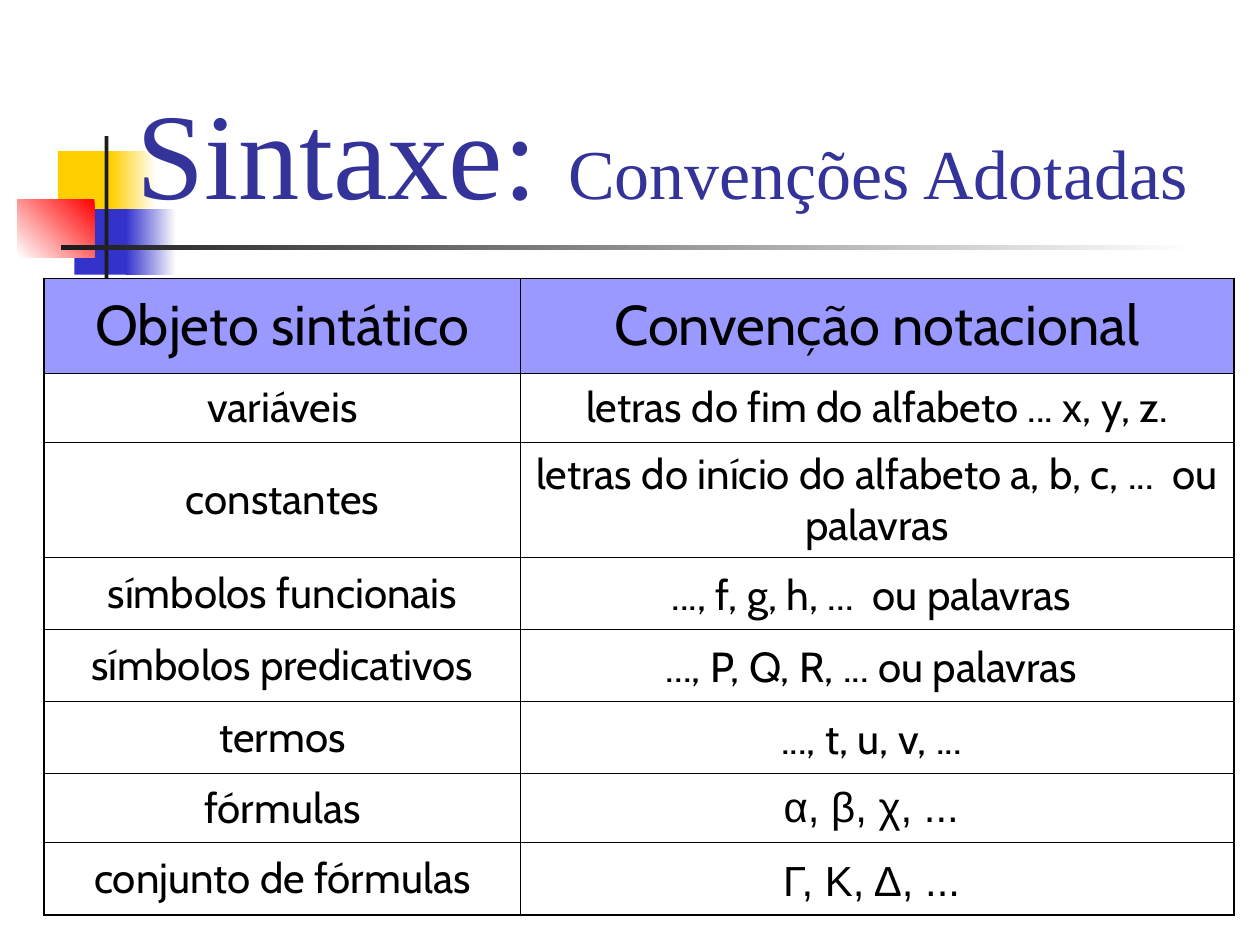
from lxml.etree import SubElement
from pptx import Presentation
from pptx.dml.color import RGBColor
from pptx.enum.shapes import MSO_SHAPE
from pptx.enum.text import MSO_ANCHOR, MSO_AUTO_SIZE, PP_ALIGN
from pptx.oxml.ns import qn
from pptx.util import Pt

HUES = {"gold": "FFCF01", "blue": "3333CC", "red": "FF0000", "dark": "1C1C1C",
        "white": "FFFFFF", "title": "333399", "head": "9999FF", "ink": "000000"}


def put(item, form):
    for key, value in form.items():
        setattr(item, key, value)


def write(para, text, size, face, hue):
    run = para.add_run()
    run.text = text
    put(run.font, {"size": Pt(size), "name": face})
    run.font.color.rgb = RGBColor.from_string(HUES[hue])


deck = Presentation()
put(deck, {"slide_width": Pt(720), "slide_height": Pt(540)})
slide = deck.slides.add_slide(deck.slide_layouts[5])

bars = [
    ((33.1, 86.4, 34.6, 37.4), ["gold"], 0),
    ((63.4, 86.4, 25.9, 37.4), ["white", "gold"], 180),
    ((42.5, 119.5, 33.1, 37.4), ["blue"], 0),
    ((72, 119.5, 28.8, 37.4), ["white", "blue"], 180),
    ((10, 113.8, 44, 33.1), ["red", "white"], 225),
    ((59.8, 77.8, 2.2, 82.8), ["dark"], 0),
    ((34.6, 140.2, 648, 2.4), ["white", "dark"], 180),
]
for box, tones, angle in bars:
    bar = slide.shapes.add_shape(MSO_SHAPE.RECTANGLE, *map(Pt, box))
    bar.shadow.inherit = False
    bar.line.fill.background()
    if len(tones) == 1:
        bar.fill.solid()
        bar.fill.fore_color.rgb = RGBColor.from_string(HUES[tones[0]])
    else:
        bar.fill.gradient()
        bar.fill.gradient_angle = angle
        for stop, tone in zip(bar.fill.gradient_stops, tones):
            stop.color.rgb = RGBColor.from_string(HUES[tone])

title = slide.shapes.title
put(title, {"left": Pt(70.6), "top": Pt(16.6), "width": Pt(649.4), "height": Pt(115.2)})
put(title.text_frame, {"vertical_anchor": MSO_ANCHOR.BOTTOM, "word_wrap": True,
                       "auto_size": MSO_AUTO_SIZE.NONE})
para = title.text_frame.paragraphs[0]
para.alignment = PP_ALIGN.LEFT
write(para, "Sintaxe: ", 70, "Times New Roman", "title")
write(para, "Convenções Adotadas", 40, "Times New Roman", "title")
slide.shapes._spTree.append(title._element)

rows = [
    (54, "Objeto sintático", "Convenção notacional", "Cabin", False),
    (39.6, "variáveis", "letras do fim do alfabeto ... x, y, z.", "Cabin", False),
    (64.8, "constantes", "letras do início do alfabeto a, b, c, ...  ou palavras", "Cabin", False),
    (41.1, "símbolos funcionais", "..., f, g, h, ...  ou palavras", "Cabin", True),
    (41.1, "símbolos predicativos", "..., P, Q, R, ... ou palavras", "Cabin", True),
    (41.1, "termos", "..., t, u, v, ...", "Cabin", True),
    (39.6, "fórmulas", "α, β, χ, ... ", "Arial", False),
    (41.1, "conjunto de fórmulas", "Γ, Κ, Δ, ...", "Arial", True),
]
last = len(rows) - 1
frame = slide.shapes.add_table(len(rows), 2, Pt(25.3), Pt(159.1), Pt(679.7), Pt(362.4))
table = frame.table
put(table, {"first_row": False, "horz_banding": False})
for col, width in zip(table.columns, (272.2, 407.5)):
    col.width = Pt(width)

for r, (height, name, sign, face, wide) in enumerate(rows):
    table.rows[r].height = Pt(height)
    for c, (text, font) in enumerate([(name, "Cabin"), (sign, face)]):
        cell = table.cell(r, c)
        put(cell, {"vertical_anchor": MSO_ANCHOR.MIDDLE,
                   "margin_left": Pt(7.2), "margin_right": Pt(7.2),
                   "margin_top": Pt(3.6), "margin_bottom": Pt(3.6)})
        tall = wide and c == 1
        para = cell.text_frame.paragraphs[0]
        put(para, {"alignment": PP_ALIGN.CENTER,
                   "space_before": Pt(8 if r == 0 else 7 if tall else 6)})
        write(para, text, 24 if r else 32, font, "ink")
        if tall:
            write(para, " ", 28, "Cabin", "ink")
        props = cell._tc.get_or_add_tcPr()
        edges = {"lnL": c == 0, "lnR": c == 1, "lnT": r == 0, "lnB": r == last}
        for tag, outer in edges.items():
            line = SubElement(props, qn("a:" + tag), w=str(Pt(1.08 if outer else 0.45)))
            fill = SubElement(line, qn("a:solidFill"))
            SubElement(fill, qn("a:srgbClr"), val=HUES["ink"])
        if r:
            cell.fill.background()
        else:
            cell.fill.solid()
            cell.fill.fore_color.rgb = RGBColor.from_string(HUES["head"])

deck.save("out.pptx")
